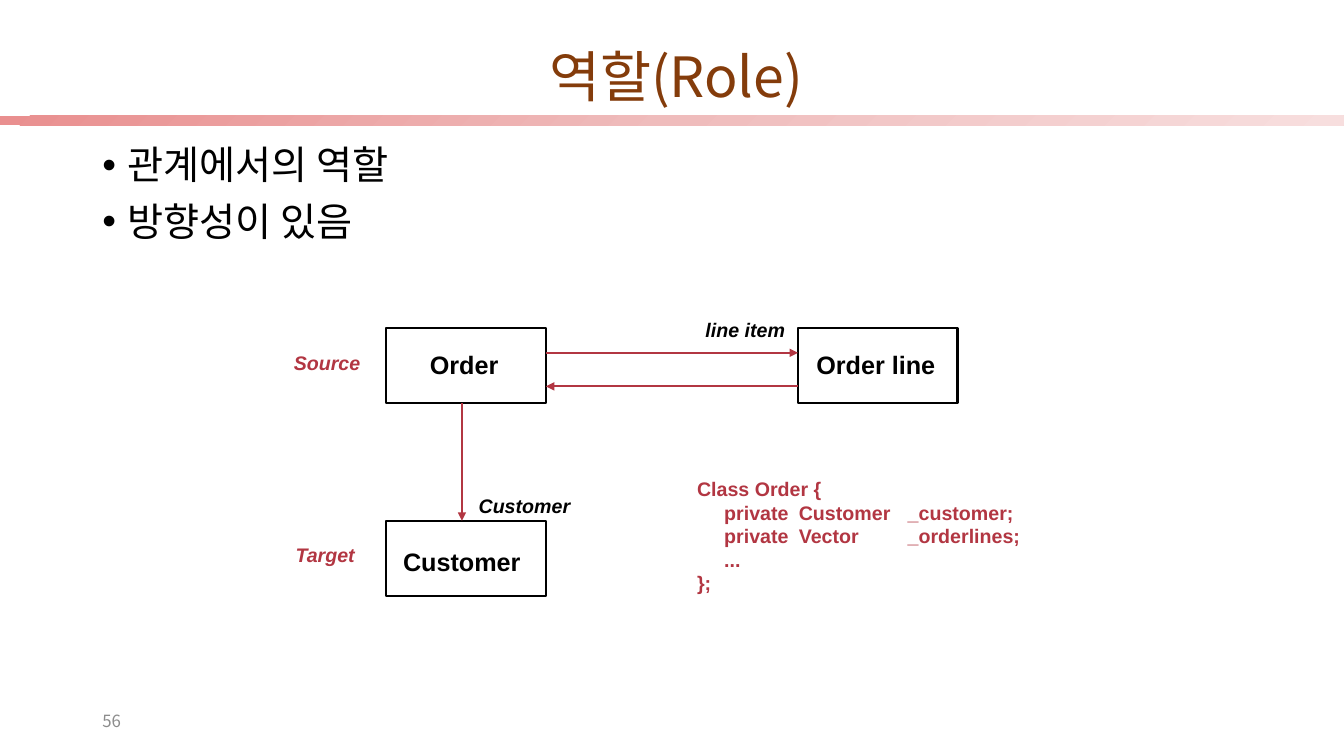
from dataclasses import dataclass

import lxml.etree
import pptx
import pptx.dml.color
import pptx.enum.shapes
import pptx.enum.text
import pptx.oxml
import pptx.oxml.ns
import pptx.util

COLUMNS, ROWS = 160, 90
CELL = pptx.util.Inches(1) / 12
qn = pptx.oxml.ns.qn


@dataclass(frozen=True)
class Theme:
    latin: str = "Arial"
    korean: str = "Noto Sans CJK KR"
    ink: str = "000000"
    accent: str = "B23642"
    heading: str = "843C0B"
    muted: str = "8C8C8C"
    band: tuple[str, ...] = ("E98F8F", "EFBCBC", "F7DEDE")
    title_size: float = 39.6
    body_size: float = 28
    class_size: float = 18
    label_size: float = 14
    number_size: float = 12
    line_width: float = 1.5


@dataclass(frozen=True)
class Area:
    column: float
    row: float
    columns: float
    rows: float


@dataclass(frozen=True)
class Style:
    size: float
    color: str
    font: str
    bold: bool = False
    italic: bool = False


@dataclass(frozen=True)
class ClassBox:
    name: str
    column: float
    row: float
    name_area: Area


@dataclass(frozen=True)
class Association:
    start: tuple[float, float]
    end: tuple[float, float]


@dataclass(frozen=True)
class Label:
    text: str
    area: Area
    style: Style


THEME = Theme()
TITLE = Style(THEME.title_size, THEME.heading, THEME.korean)
BODY = Style(THEME.body_size, THEME.ink, THEME.korean)
NUMBER = Style(THEME.number_size, THEME.muted, THEME.korean)
CLASS_NAME = Style(THEME.class_size, THEME.ink, THEME.latin, bold=True)
ROLE = Style(THEME.label_size, THEME.ink, THEME.latin, bold=True, italic=True)
END = Style(THEME.label_size, THEME.accent, THEME.latin, bold=True, italic=True)
CODE = Style(THEME.label_size, THEME.accent, THEME.latin, bold=True)

BOX_COLUMNS, BOX_ROWS = 19, 9
ORDER = ClassBox("Order", 46, 39, Area(50, 41, 13.2, 4.8))
ORDER_LINE = ClassBox("Order line", 95, 39, Area(96, 41, 20.8, 4.8))
CUSTOMER = ClassBox("Customer", 46, 62, Area(46.8, 64.4, 19.3, 4.8))
ORDER_RIGHT, ORDER_BOTTOM = ORDER.column + BOX_COLUMNS, ORDER.row + BOX_ROWS

ASSOCIATIONS = (
    Association((55, ORDER_BOTTOM), (55, CUSTOMER.row)),
    Association((ORDER_RIGHT, 42), (ORDER_LINE.column, 42)),
    Association((ORDER_LINE.column, 46), (ORDER_RIGHT, 46)),
)
LABELS = (
    Label("Customer", Area(55.8, 58.2, 15.6, 4), ROLE),
    Label("line item", Area(82.8, 37.2, 13.8, 4), ROLE),
    Label("Source", Area(33.8, 41.2, 12.2, 4), END),
    Label("Target", Area(34, 64, 11.6, 4), END),
)
CODE_LINES = (
    "Class Order {",
    "\tprivate\tCustomer\t_customer;",
    "\tprivate\tVector\t_orderlines;",
    "\t...",
    "};",
)
CODE_TABS = (0.27, 1.01, 2.09)


def grid(cells: float) -> int:
    return round(cells * CELL)


def place(area: Area) -> tuple[int, int, int, int]:
    return grid(area.column), grid(area.row), grid(area.columns), grid(area.rows)


def rgb(color: str) -> pptx.dml.color.RGBColor:
    return pptx.dml.color.RGBColor.from_string(color)


def add_run(paragraph, text: str, style: Style) -> None:
    run = paragraph.add_run()
    run.text = text
    font = run.font
    font.size, font.name = pptx.util.Pt(style.size), style.font
    font.bold, font.italic = style.bold, style.italic
    font.color.rgb = rgb(style.color)
    east_asian = lxml.etree.SubElement(font._element, qn("a:ea"))
    east_asian.set("typeface", style.font)


def add_text(slide, area: Area, lines: tuple[str, ...], style: Style):
    frame = slide.shapes.add_textbox(*place(area)).text_frame
    frame.word_wrap = True
    for index, line in enumerate(lines):
        paragraph = frame.add_paragraph() if index else frame.paragraphs[0]
        add_run(paragraph, line, style)
    return frame


def add_rectangle(slide, area: Area):
    shape = slide.shapes.add_shape(
        pptx.enum.shapes.MSO_SHAPE.RECTANGLE, *place(area))
    shape.shadow.inherit = False
    return shape


def add_class(slide, box: ClassBox) -> None:
    outline = add_rectangle(slide, Area(box.column, box.row, BOX_COLUMNS, BOX_ROWS))
    outline.fill.background()
    outline.line.color.rgb = rgb(THEME.ink)
    outline.line.width = pptx.util.Pt(THEME.line_width)
    add_text(slide, box.name_area, (box.name,), CLASS_NAME)


def add_association(slide, link: Association) -> None:
    arrow = slide.shapes.add_connector(
        pptx.enum.shapes.MSO_CONNECTOR.STRAIGHT,
        *map(grid, link.start + link.end))
    arrow.line.color.rgb = rgb(THEME.accent)
    arrow.line.width = pptx.util.Pt(THEME.line_width)
    head = lxml.etree.SubElement(arrow.line._get_or_add_ln(), qn("a:tailEnd"))
    head.set("type", "triangle")
    lxml.etree.SubElement(arrow._element.spPr, qn("a:effectLst"))


def add_band(slide) -> None:
    band = add_rectangle(slide, Area(0, 13.8, COLUMNS, 1.1))
    band.line.fill.background()
    band.fill.gradient()
    band.fill.gradient_angle = 315
    stops = band._element.spPr.find(qn("a:gradFill")).find(qn("a:gsLst"))
    stops.clear()
    for index, color in enumerate(THEME.band):
        stop = lxml.etree.SubElement(stops, qn("a:gs"), pos=str(index * 50000))
        lxml.etree.SubElement(stop, qn("a:srgbClr"), val=color)


def add_bullets(slide) -> None:
    frame = add_text(slide, Area(11, 16.8, 138, 64.3),
                     ("관계에서의 역할", "방향성이 있음"), BODY)
    indent = pptx.util.Inches(0.25)
    for paragraph in frame.paragraphs:
        paragraph.line_spacing = 0.9
        paragraph.space_before = pptx.util.Pt(10)
        properties = paragraph._p.get_or_add_pPr()
        properties.set("marL", str(indent))
        properties.set("indent", str(-indent))
        lxml.etree.SubElement(properties, qn("a:buFont"), typeface=THEME.latin)
        lxml.etree.SubElement(properties, qn("a:buChar"), char="•")


def add_code(slide) -> None:
    frame = add_text(slide, Area(81.8, 56.2, 47.9, 15.4), CODE_LINES, CODE)
    for paragraph in frame.paragraphs:
        tabs = lxml.etree.SubElement(paragraph._p.get_or_add_pPr(), qn("a:tabLst"))
        for stop in CODE_TABS:
            lxml.etree.SubElement(tabs, qn("a:tab"), algn="l",
                                  pos=str(pptx.util.Inches(stop)))


def set_title(slide) -> None:
    title = slide.shapes.title
    title.left, title.top, title.width, title.height = place(Area(7.2, 5.8, 146.6, 7.3))
    frame = title.text_frame
    frame.auto_size = pptx.enum.text.MSO_AUTO_SIZE.NONE
    frame.vertical_anchor = pptx.enum.text.MSO_ANCHOR.MIDDLE
    paragraph = frame.paragraphs[0]
    paragraph.alignment = pptx.enum.text.PP_ALIGN.CENTER
    paragraph.line_spacing = 0.9
    add_run(paragraph, "역할(Role)", TITLE)


presentation = pptx.Presentation()
presentation.slide_width, presentation.slide_height = grid(COLUMNS), grid(ROWS)
slide = presentation.slides.add_slide(presentation.slide_layouts[5])

# Heading, bullets and page number
add_band(slide)
set_title(slide)
add_bullets(slide)
page_number = add_text(slide, Area(11, 83.4, 36, 4.8), ("56",), NUMBER)
page_number.vertical_anchor = pptx.enum.text.MSO_ANCHOR.MIDDLE

# Class diagram
for class_box in (ORDER, ORDER_LINE, CUSTOMER):
    add_class(slide, class_box)
for association in ASSOCIATIONS:
    add_association(slide, association)
for label in LABELS:
    add_text(slide, label.area, (label.text,), label.style)

# Class declaration
add_code(slide)

presentation.save("out.pptx")
